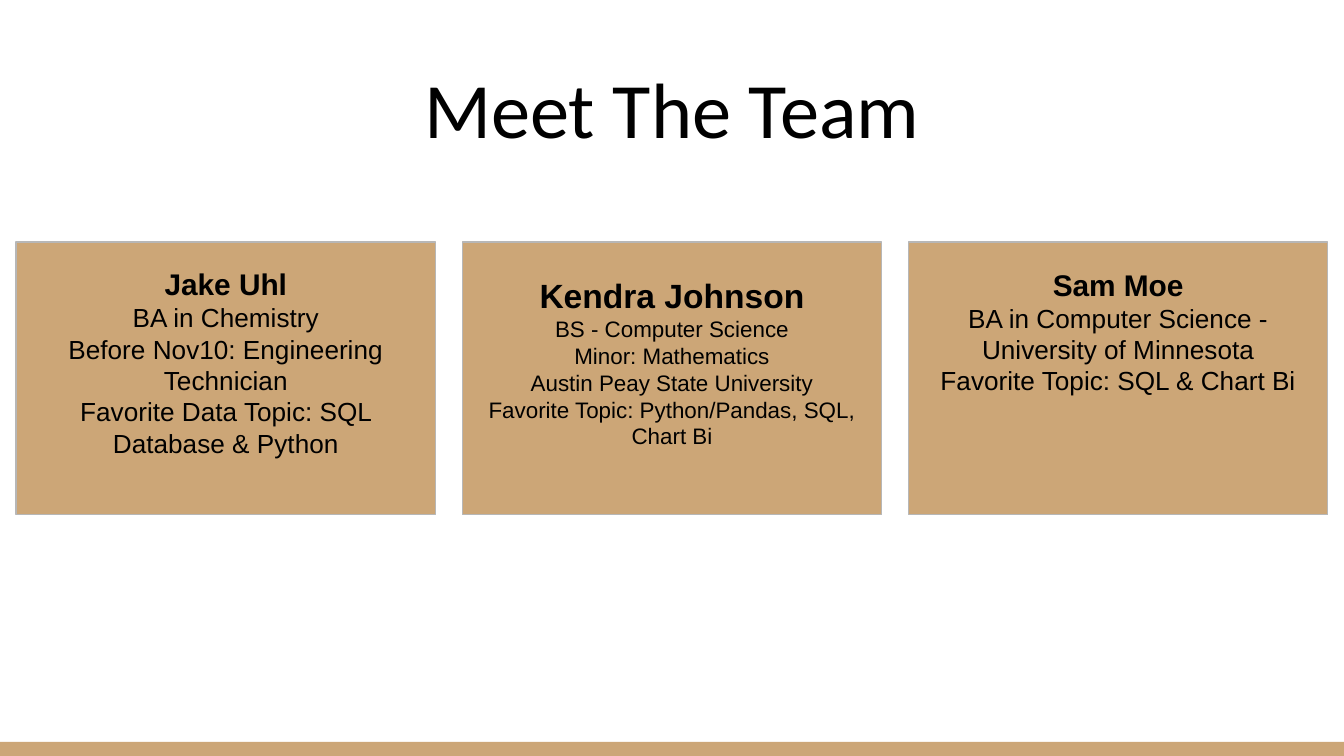
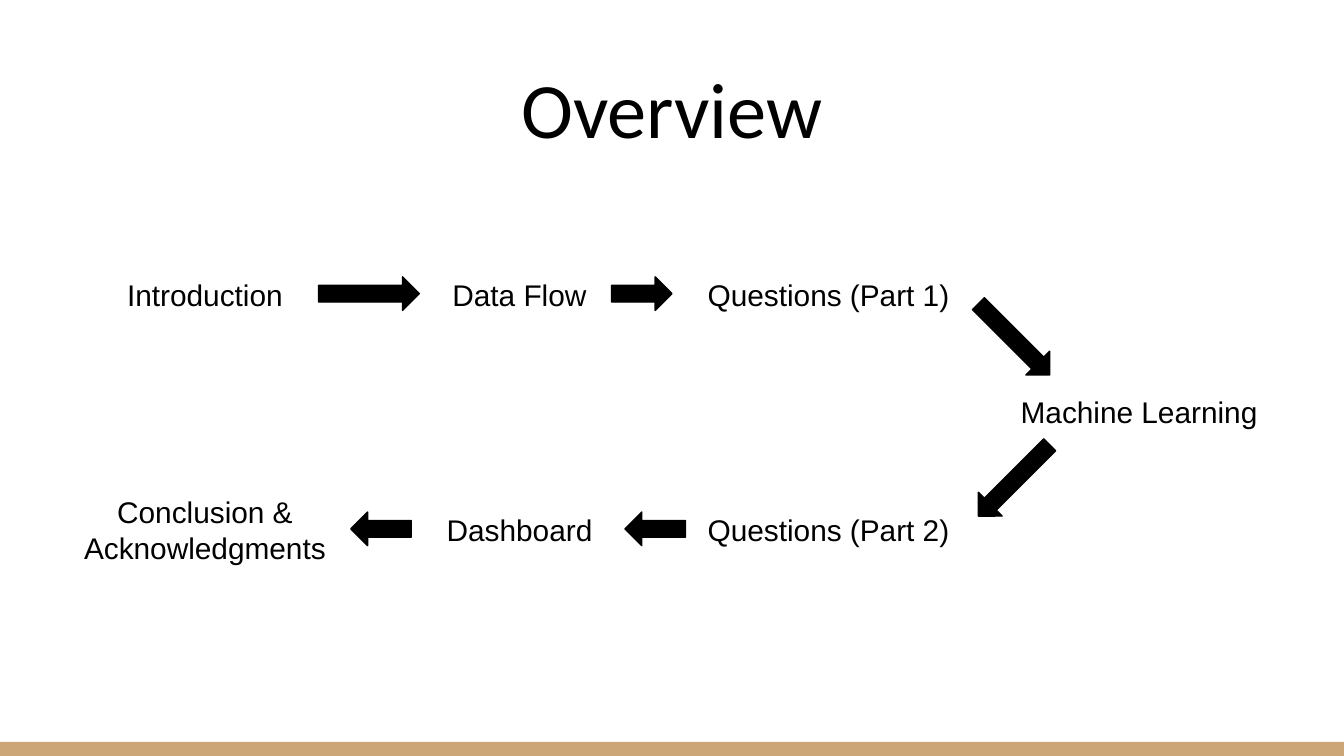
import pptx
import pptx.dml.color
import pptx.enum.shapes
import pptx.enum.text
import pptx.util

Inches = pptx.util.Inches
Pt = pptx.util.Pt
MSO_SHAPE = pptx.enum.shapes.MSO_SHAPE
PP_ALIGN = pptx.enum.text.PP_ALIGN
MSO_ANCHOR = pptx.enum.text.MSO_ANCHOR

TAN = pptx.dml.color.RGBColor(0xCC, 0xA6, 0x77)
GRAY = pptx.dml.color.RGBColor(0xB7, 0xB7, 0xB7)
BLACK = pptx.dml.color.RGBColor(0, 0, 0)
SLIDE_WIDTH = 10
SLIDE_HEIGHT = SLIDE_WIDTH * 9 / 16
MARGIN = 0.1


def add_block(slide, kind, left, top, width, height, fill, line=None):
    shape = slide.shapes.add_shape(
        kind, Inches(left), Inches(top), Inches(width), Inches(height))
    shape.shadow.inherit = False
    shape.fill.solid()
    shape.fill.fore_color.rgb = fill
    if line is None:
        shape.line.fill.background()
    else:
        shape.line.color.rgb = line
        shape.line.width = Pt(0.75)
    return shape


def write_text(shape, lines, anchor, font_name="Arial", bottom=MARGIN):
    frame = shape.text_frame
    frame.word_wrap = True
    frame.auto_size = pptx.enum.text.MSO_AUTO_SIZE.NONE
    frame.vertical_anchor = anchor
    frame.margin_left = frame.margin_right = frame.margin_top = Inches(MARGIN)
    frame.margin_bottom = Inches(bottom)
    for index, (text, size, bold) in enumerate(lines):
        paragraph = frame.add_paragraph() if index else frame.paragraphs[0]
        paragraph.alignment = PP_ALIGN.CENTER
        run = paragraph.add_run()
        run.text = text
        run.font.name = font_name
        run.font.size = Pt(size)
        run.font.bold = bold
        run.font.color.rgb = BLACK


presentation = pptx.Presentation()
presentation.slide_width = Inches(SLIDE_WIDTH)
presentation.slide_height = Inches(SLIDE_HEIGHT)

slides = []
for heading in ["Meet The Team", "Overview"]:
    slide = presentation.slides.add_slide(presentation.slide_layouts[5])
    add_block(slide, MSO_SHAPE.RECTANGLE, 0, 5.52, SLIDE_WIDTH, 0.11, TAN)
    title = slide.shapes.title
    title.left, title.top = Inches(0.34), Inches(0.35)
    title.width, title.height = Inches(9.32), Inches(0.9)
    write_text(title, [(heading, 42, False)], MSO_ANCHOR.BOTTOM, "Calibri")
    slides.append(slide)
team_slide, overview_slide = slides

CARD_WIDTH, CARD_PITCH = 3.12, 3.32
members = [
    ("Jake Uhl", 16, 14, 0.34, [
        "BA in Chemistry",
        "Before Nov10: Engineering Technician",
        "Favorite Data Topic: SQL Database & Python"]),
    ("Kendra Johnson", 18, 12, 0.34, [
        "BS - Computer Science",
        "Minor: Mathematics",
        "Austin Peay State University",
        "Favorite Topic: Python/Pandas, SQL, Chart Bi"]),
    ("Sam Moe", 16, 14, 0.8, [
        "BA in Computer Science - University of Minnesota",
        "Favorite Topic: SQL & Chart Bi"]),
]
for column, (name, name_size, detail_size, bottom, details) in enumerate(members):
    card = add_block(team_slide, MSO_SHAPE.RECTANGLE, 0.12 + column * CARD_PITCH,
                     1.8, CARD_WIDTH, 2.03, TAN, GRAY)
    lines = [(name, name_size, True)]
    lines += [(detail, detail_size, False) for detail in details]
    write_text(card, lines, MSO_ANCHOR.MIDDLE, bottom=bottom)

COLUMNS = [0.5, 2.84, 5.14, 7.45]
ROWS = [1.75, 2.62, 3.5]
steps = [
    ("Introduction", 0, 0),
    ("Data Flow", 1, 0),
    ("Questions (Part 1)", 2, 0),
    ("Machine Learning", 3, 1),
    ("Questions (Part 2)", 2, 2),
    ("Dashboard", 1, 2),
    ("Conclusion & Acknowledgments", 0, 2),
]
for label, column, row in steps:
    step = overview_slide.shapes.add_textbox(
        Inches(COLUMNS[column]), Inches(ROWS[row]), Inches(2.05), Inches(0.88))
    write_text(step, [(label, 16, False)], MSO_ANCHOR.MIDDLE)

arrows = [
    (2.37, 2.06, 0.75, 0),
    (4.55, 2.06, 0.45, 0),
    (7.17, 2.4, 0.75, 45),
    (7.17, 3.45, 0.75, 135),
    (4.65, 3.81, 0.45, 180),
    (2.61, 3.81, 0.45, 180),
]
for left, top, length, angle in arrows:
    arrow = add_block(overview_slide, MSO_SHAPE.RIGHT_ARROW, left, top, length, 0.25,
                      BLACK, BLACK)
    arrow.rotation = angle

presentation.save("out.pptx")
